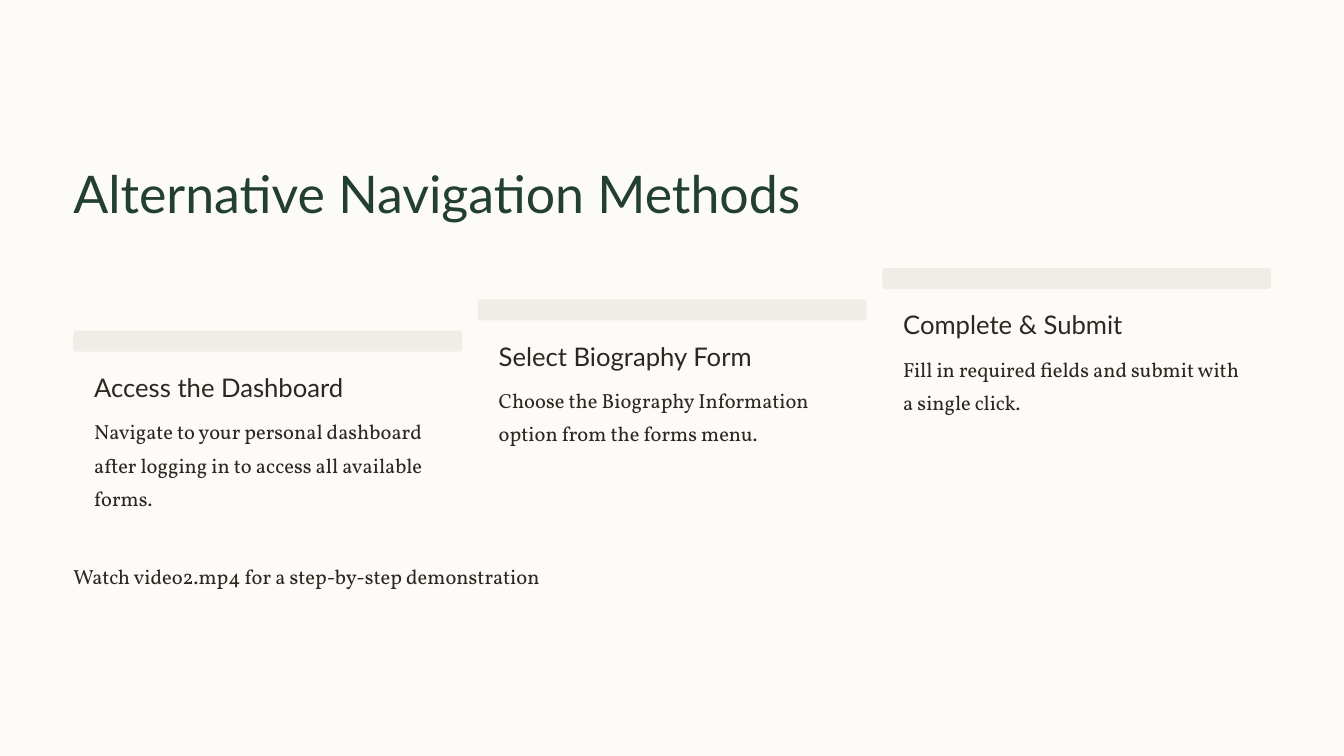
from dataclasses import dataclass

from pptx import Presentation
from pptx.dml.color import RGBColor
from pptx.enum.shapes import MSO_SHAPE
from pptx.enum.text import MSO_ANCHOR, MSO_AUTO_SIZE, PP_ALIGN
from pptx.util import Cm, Pt

ROUNDED = MSO_SHAPE.ROUNDED_RECTANGLE
TOP = MSO_ANCHOR.TOP
LEFT = PP_ALIGN.LEFT
NO_AUTOFIT = MSO_AUTO_SIZE.NONE
TITLE_ONLY = 5


@dataclass(frozen=True)
class TextStyle:
    font: str
    size: float
    line: float
    color: RGBColor


@dataclass(frozen=True)
class Theme:
    paper = RGBColor(0xFC, 0xFB, 0xF8)
    bar = RGBColor(0xF0, 0xED, 0xE6)
    ink = RGBColor(0x2C, 0x28, 0x21)
    title = TextStyle("Lato", 55.6, 69.4, RGBColor(0x23, 0x3E, 0x32))
    heading = TextStyle("Lato", 27.5, 34.4, ink)
    body = TextStyle("Vollkorn", 21.9, 35.6, ink)


THEME = Theme()

# Lengths in centimetres
MARGIN = 2.77
STEP_PITCH = 15.29
STEP_RISE = 1.18
FIRST_STEP_TOP = 12.5
BAR_WIDTH = 14.7
BAR_HEIGHT = 0.79
INSET = 0.79

# Heading, description, height of the description
STEPS = [
    ("Access the Dashboard",
     "Navigate to your personal dashboard after logging in to access all available forms.", 4.01),
    ("Select Biography Form",
     "Choose the Biography Information option from the forms menu.", 2.77),
    ("Complete & Submit",
     "Fill in required fields and submit with a single click.", 2.77),
]


def write_text(box, text, style):
    frame = box.text_frame
    frame.text = text
    frame.word_wrap = True
    frame.auto_size = NO_AUTOFIT
    frame.vertical_anchor = TOP
    frame.margin_left = frame.margin_right = frame.margin_top = frame.margin_bottom = 0
    paragraph = frame.paragraphs[0]
    paragraph.alignment = LEFT
    paragraph.line_spacing = Pt(style.line)
    font = paragraph.runs[0].font
    font.name = style.font
    font.size = Pt(style.size)
    font.color.rgb = style.color


def add_title(page, text):
    title = page.shapes.title
    title.left, title.top = Cm(MARGIN), Cm(6.02)
    title.width, title.height = Cm(27.89), Cm(2.54)
    write_text(title, text, THEME.title)


def add_text(page, left, top, width, height, text, style):
    box = page.shapes.add_textbox(Cm(left), Cm(top), Cm(width), Cm(height))
    write_text(box, text, style)


def add_bar(page, left, top):
    bar = page.shapes.add_shape(ROUNDED, Cm(left), Cm(top), Cm(BAR_WIDTH), Cm(BAR_HEIGHT))
    bar.adjustments[0] = 0.14
    bar.shadow.inherit = False
    bar.fill.solid()
    bar.fill.fore_color.rgb = THEME.bar
    bar.line.fill.background()


def add_step(page, index, heading, description, height):
    left = MARGIN + index * STEP_PITCH
    top = FIRST_STEP_TOP - index * STEP_RISE
    text_left = left + INSET
    text_width = BAR_WIDTH - 2 * INSET
    add_bar(page, left, top)
    add_text(page, text_left, top + 1.5, text_width, 1.32, heading, THEME.heading)
    add_text(page, text_left, top + 3.03, text_width, height, description, THEME.body)


def main():
    deck = Presentation()
    deck.slide_width, deck.slide_height = Cm(50.8), Cm(28.58)
    page = deck.slides.add_slide(deck.slide_layouts[TITLE_ONLY])
    page.background.fill.solid()
    page.background.fill.fore_color.rgb = THEME.paper

    add_title(page, "Alternative Navigation Methods")

    # Rising staircase of steps
    for index, step in enumerate(STEPS):
        add_step(page, index, *step)

    # Closing note
    add_text(page, MARGIN, 20.98, 45.28, 1.5,
             "Watch video2.mp4 for a step-by-step demonstration", THEME.body)

    deck.save("out.pptx")


if __name__ == "__main__":
    main()
